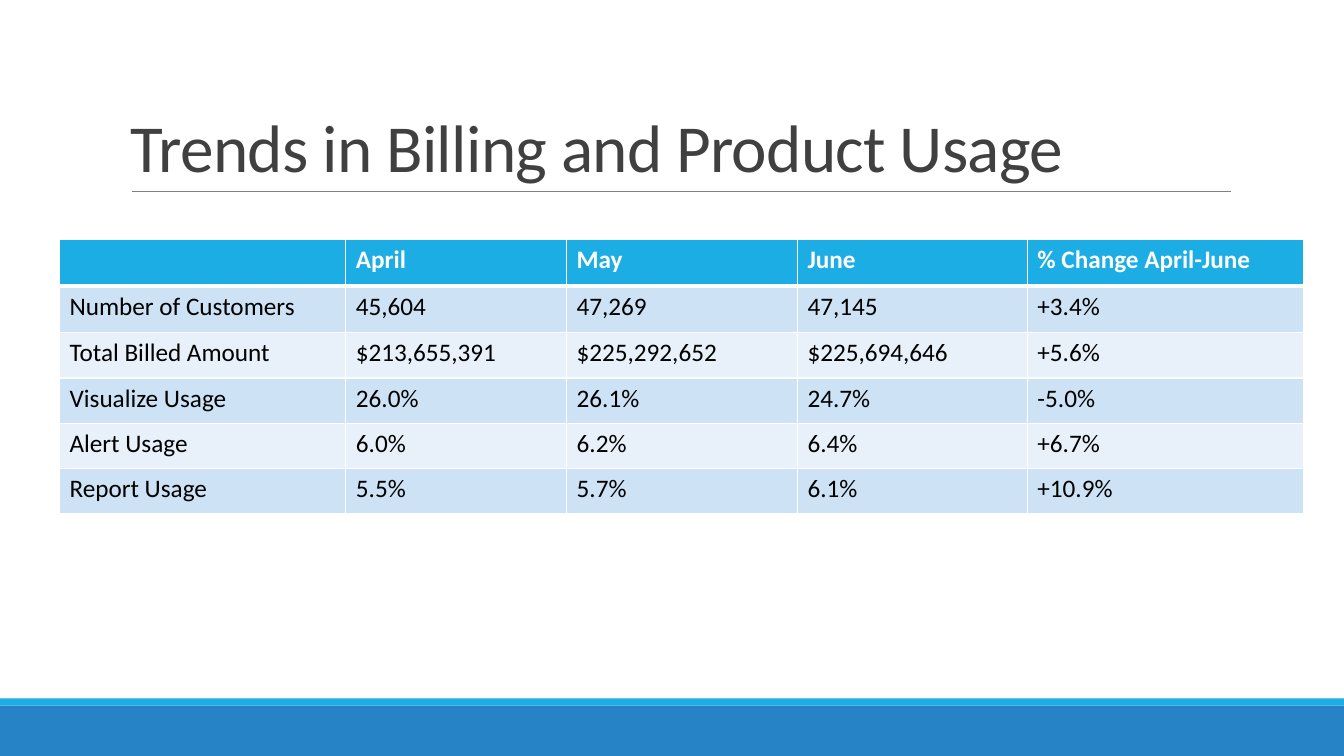
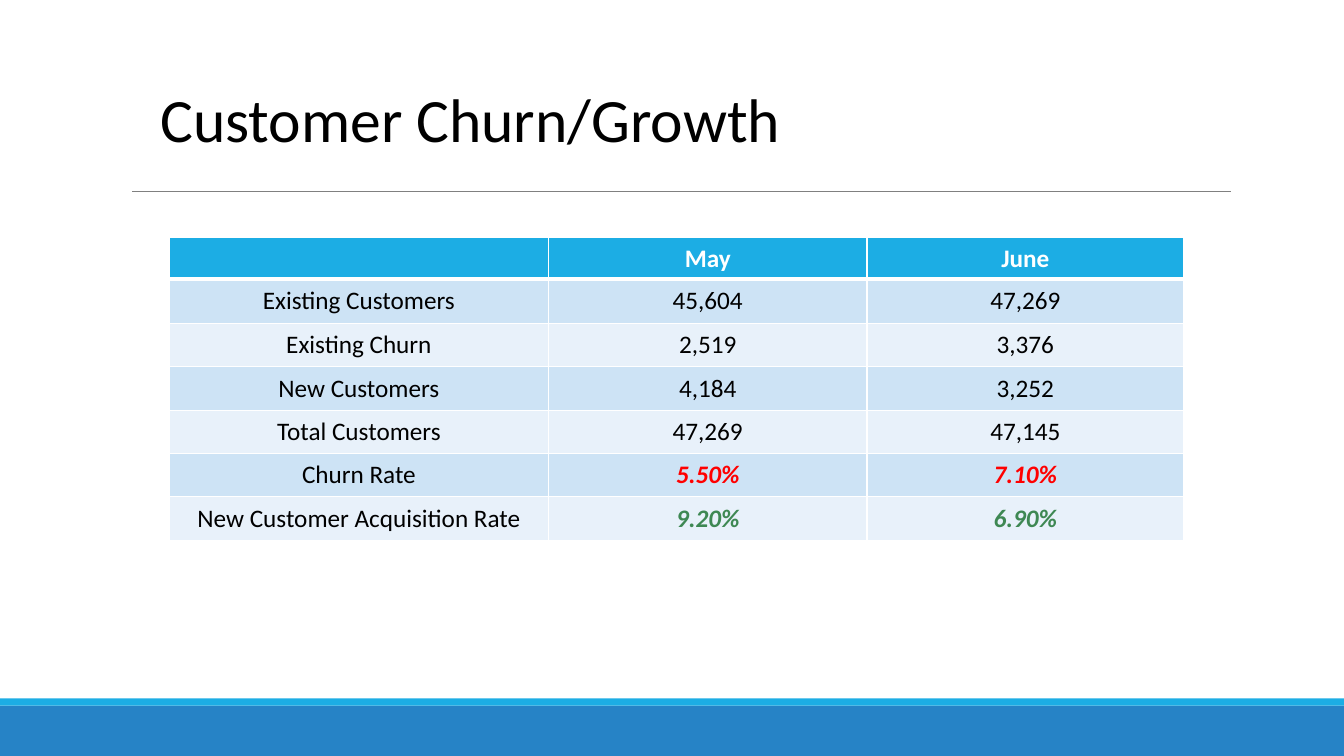
"""Build two slides of customer trends, each with a title and a table."""
from dataclasses import dataclass

from lxml import etree
from pptx import Presentation
from pptx.dml.color import RGBColor
from pptx.enum import shapes, text
from pptx.oxml import ns
from pptx.util import Inches, Pt


@dataclass(frozen=True)
class Theme:
    """Colours and type sizes shared by the slides."""
    font: str = "Calibri"
    blue: str = "2683C6"
    sky: str = "1CADE4"
    rule: str = "808080"
    white: str = "FFFFFF"
    black: str = "000000"
    grey: str = "404040"
    red: str = "FF0000"
    green: str = "3E8853"
    bands: tuple = ("CDE3F5", "E8F1FA")
    head: int = 48
    topic: int = 44
    body: int = 18


def write(frame, words, size, color, bold=False, italic=False,
          align=text.PP_ALIGN.LEFT, lead=None, track=None):
    """Put one formatted line into a text frame."""
    line = frame.paragraphs[0]
    line.alignment = align
    if lead:
        line.line_spacing = lead
    run = line.add_run()
    run.text = words
    font = run.font
    font.name, font.size = Theme.font, Pt(size)
    font.bold, font.italic = bold, italic
    font.color.rgb = RGBColor.from_string(color)
    if track:
        run._r.get_or_add_rPr().set("spc", str(int(track * 100)))


def edge(cell, side, width, color):
    """Draw one border of a table cell."""
    props = cell._tc.get_or_add_tcPr()
    line = etree.SubElement(props, ns.qn(f"a:ln{side}"), w=str(Pt(width)))
    fill = etree.SubElement(line, ns.qn("a:solidFill"))
    etree.SubElement(fill, ns.qn("a:srgbClr"), val=color)


class Deck:
    """Hold the style and the current slide."""

    def __init__(self, theme):
        """Start an empty wide deck."""
        self.theme = theme
        self.show = Presentation()
        self.show.slide_width, self.show.slide_height = Inches(13.33), Inches(7.5)
        self.slide = None

    def page(self):
        """Add a slide with its bands and title rule."""
        self.slide = self.show.slides.add_slide(self.show.slide_layouts[6])
        self.band(7, 0.5, self.theme.blue)
        self.band(6.93, 0.07, self.theme.sky)
        self.rule(1.31, 12.21, 1.9)

    def band(self, top, high, color):
        """Add a full-width bar."""
        bar = self.slide.shapes.add_shape(
            shapes.MSO_SHAPE.RECTANGLE, 0, Inches(top),
            self.show.slide_width, Inches(high))
        bar.shadow.inherit = False
        bar.fill.solid()
        bar.fill.fore_color.rgb = RGBColor.from_string(color)
        bar.line.fill.background()

    def rule(self, left, right, top):
        """Add a thin level line."""
        line = self.slide.shapes.add_connector(
            shapes.MSO_CONNECTOR.STRAIGHT, Inches(left), Inches(top),
            Inches(right), Inches(top))
        line.line.color.rgb = RGBColor.from_string(self.theme.rule)
        line.line.width = Pt(0.5)
        etree.SubElement(line._element.spPr, ns.qn("a:effectLst"))

    def title(self, words, box, size, color, anchor=text.MSO_ANCHOR.TOP, **style):
        """Add a title box."""
        frame = self.slide.shapes.add_textbox(*map(Inches, box)).text_frame
        frame.word_wrap = True
        frame.vertical_anchor = anchor
        write(frame, words, size, color, **style)

    def table(self, left, top, cols, highs, rows, center=False, marks=None):
        """Add a banded table; marks gives the value colour of named rows."""
        grid = self.slide.shapes.add_table(
            len(rows), len(cols), Inches(left), Inches(top),
            Inches(sum(cols)), Inches(sum(highs))).table
        grid.horz_banding = False
        for col, wide in zip(grid.columns, cols):
            col.width = Inches(wide)
        for r, (row, high) in enumerate(zip(rows, highs)):
            grid.rows[r].height = Inches(high)
            mark = (marks or {}).get(row[0])
            for c, words in enumerate(row):
                self.cell(grid.cell(r, c), words, r, center, mark if c else None)

    def cell(self, cell, words, row, center, mark):
        """Format and fill one table cell."""
        look, head = self.theme, row == 0
        widths = {"L": 1, "R": 1, "T": 3 if row == 1 else 1, "B": 3 if head else 1}
        for side, width in widths.items():
            edge(cell, side, width, look.white)
        cell.fill.solid()
        cell.fill.fore_color.rgb = RGBColor.from_string(
            look.sky if head else look.bands[(row - 1) % 2])
        if center:
            cell.vertical_anchor = text.MSO_ANCHOR.MIDDLE
            cell.margin_left = cell.margin_right = 0
            cell.margin_top = cell.margin_bottom = 0
        if words:
            write(cell.text_frame, words, look.body,
                  look.white if head else mark or look.black,
                  bold=head or bool(mark), italic=bool(mark),
                  align=text.PP_ALIGN.CENTER if center else text.PP_ALIGN.LEFT)


def trends(deck):
    """Build the billing and usage slide."""
    deck.page()
    deck.title("Trends in Billing and Product Usage", (1.2, 0.31, 11, 1.59),
               deck.theme.head, deck.theme.grey, text.MSO_ANCHOR.BOTTOM,
               lead=0.85, track=-0.5)
    deck.table(0.59, 2.38, (2.84, 2.19, 2.29, 2.28, 2.74), [0.46] * 2 + [0.45] * 4, [
        ("", "April", "May", "June", "% Change April-June"),
        ("Number of Customers", "45,604", "47,269", "47,145", "+3.4%"),
        ("Total Billed Amount", "$213,655,391", "$225,292,652", "$225,694,646", "+5.6%"),
        ("Visualize Usage", "26.0%", "26.1%", "24.7%", "-5.0%"),
        ("Alert Usage", "6.0%", "6.2%", "6.4%", "+6.7%"),
        ("Report Usage", "5.5%", "5.7%", "6.1%", "+10.9%"),
    ])


def churn(deck):
    """Build the customer churn slide."""
    deck.page()
    deck.table(1.68, 2.36, (3.76, 3.16, 3.14), [0.41, 0.44] + [0.43] * 5, [
        ("", "May", "June"),
        ("Existing Customers", "45,604", "47,269"),
        ("Existing Churn", "2,519", "3,376"),
        ("New Customers", "4,184", "3,252"),
        ("Total Customers", "47,269", "47,145"),
        ("Churn Rate", "5.50%", "7.10%"),
        ("New Customer Acquisition Rate", "9.20%", "6.90%"),
    ], center=True, marks={"Churn Rate": deck.theme.red,
                           "New Customer Acquisition Rate": deck.theme.green})
    deck.title("Customer Churn/Growth", (1.49, 0.75, 7.95, 0.84),
               deck.theme.topic, deck.theme.black)


deck = Deck(Theme())
trends(deck)
churn(deck)
deck.show.save("out.pptx")
